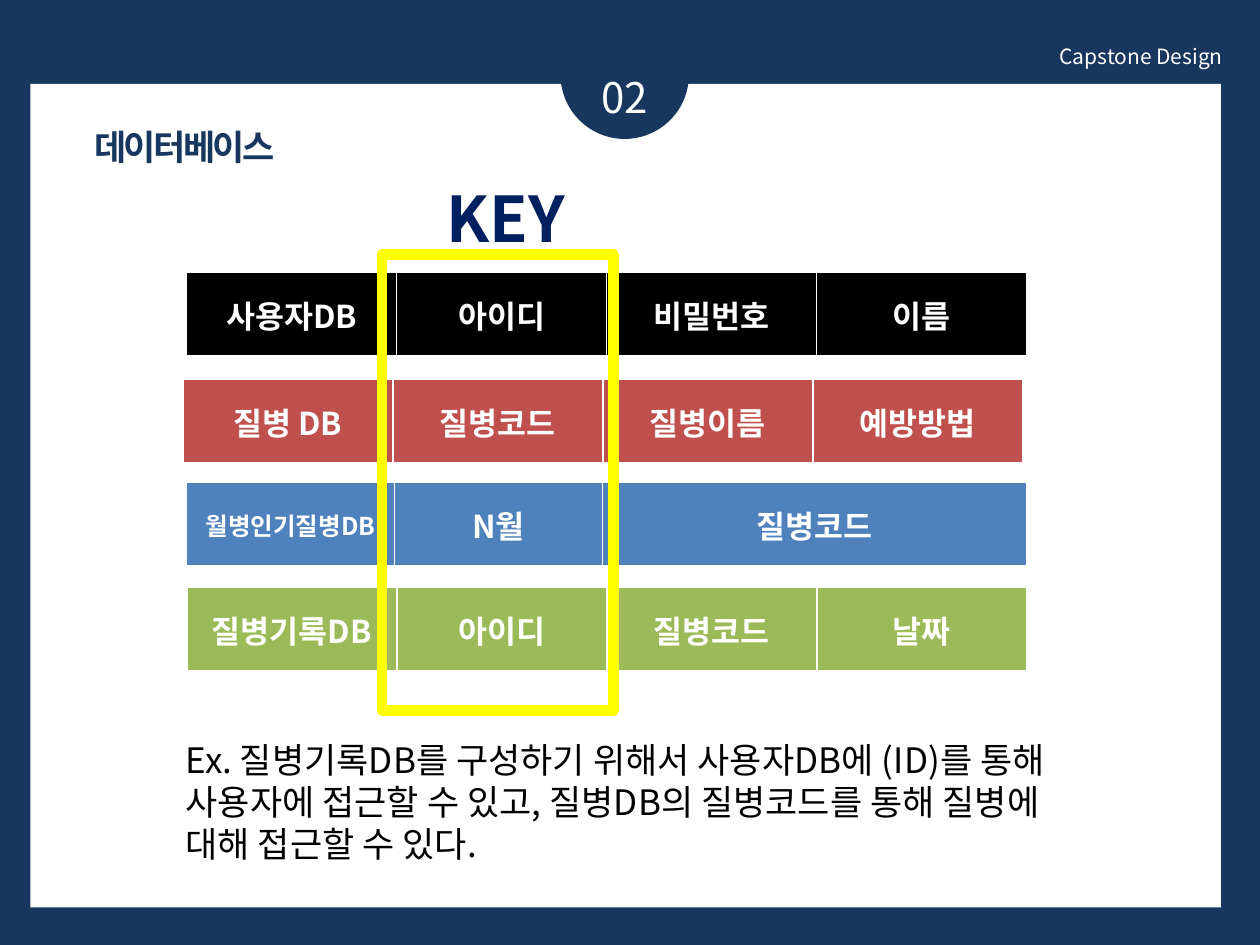
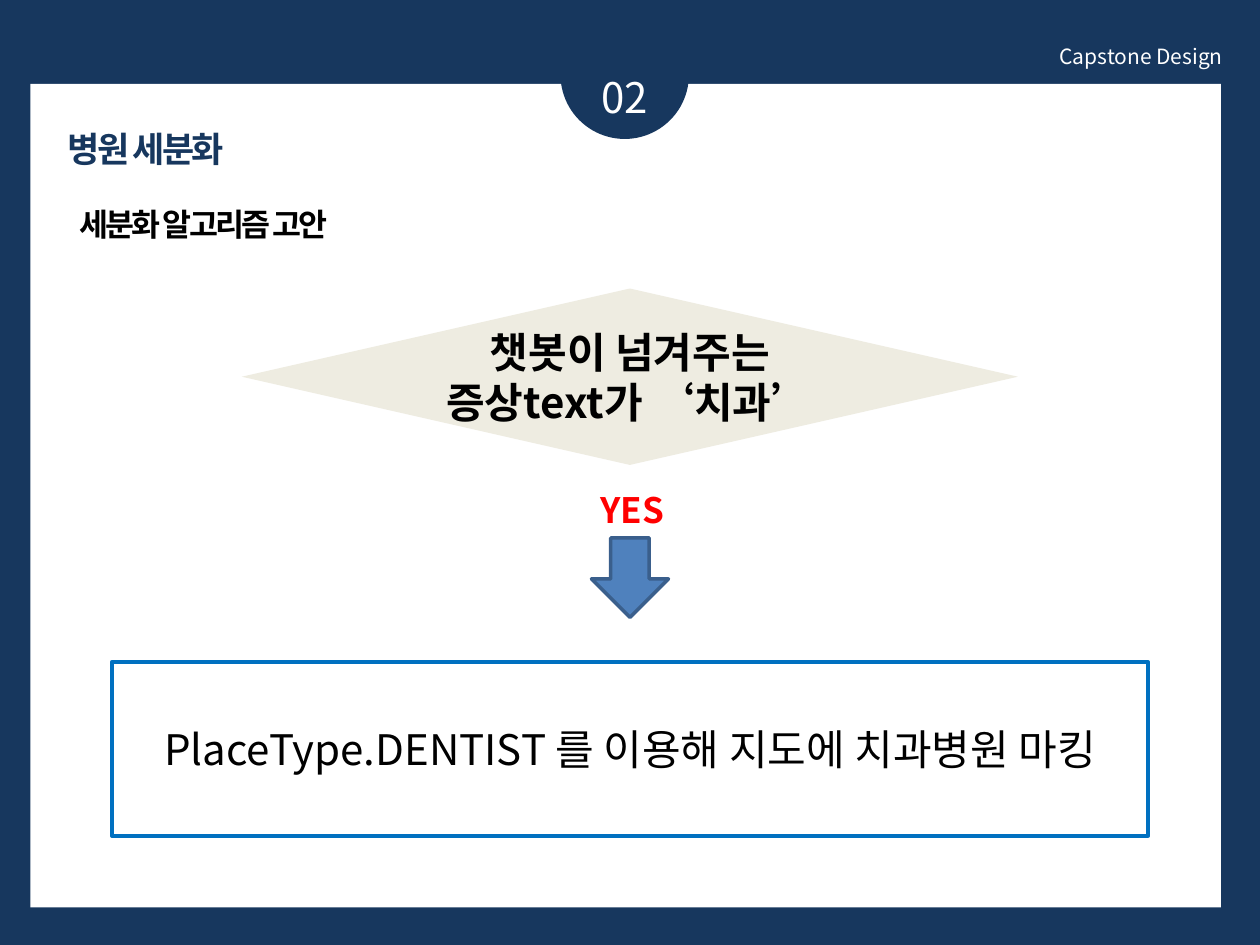
from lxml import etree
from pptx import Presentation
from pptx import util as u
from pptx.dml.color import RGBColor
from pptx.enum import shapes, text
from pptx.oxml.ns import qn

Pt = u.Pt
SHAPE = shapes.MSO_SHAPE
ALIGN = text.PP_ALIGN
MIDDLE = text.MSO_ANCHOR.MIDDLE

FONT = "Noto Sans CJK KR"
COLORS = {
    "navy": "17375E", "white": "FFFFFF", "black": "000000", "key": "002060",
    "red": "C0504D", "blue": "4F81BD", "green": "9BBB59", "yellow": "FFFF00",
    "cream": "EEECE1", "frame": "0070C0", "arrow_edge": "3A5F8C", "yes": "FF0000",
}


def rgb(name):
    return RGBColor.from_string(COLORS[name])


def write(frame, words, size=18, color="black", bold=False, align=ALIGN.LEFT,
          font=FONT, spacing=None):
    """Put one formatted paragraph into a text frame; a newline breaks the line."""
    paragraph = frame.paragraphs[0]
    paragraph.alignment = align
    for number, line in enumerate(words.split("\n")):
        if number:
            paragraph.add_line_break()
        run = paragraph.add_run()
        run.text = line
        run.font.name = font
        run.font.size = Pt(size)
        run.font.bold = bold
        run.font.color.rgb = rgb(color)
        properties = run.font._element
        etree.SubElement(properties, qn("a:ea")).set("typeface", FONT)
        if spacing is not None:
            properties.set("spc", str(round(spacing * 100)))


def border_cell(cell):
    """White borders: 1 pt on three sides, 3 pt below."""
    properties = cell._tc.get_or_add_tcPr()
    for place, (side, width) in enumerate((("L", 1), ("R", 1), ("T", 1), ("B", 3))):
        line = etree.Element(qn(f"a:ln{side}"), w=str(int(Pt(width))))
        fill = etree.SubElement(line, qn("a:solidFill"))
        etree.SubElement(fill, qn("a:srgbClr"), val=COLORS["white"])
        properties.insert(place, line)


class Deck:
    def __init__(self):
        self.presentation = Presentation()
        self.presentation.slide_width = Pt(720)
        self.presentation.slide_height = Pt(540)
        self.slide = None

    def new_slide(self):
        """Start a slide with the shared frame, section number and header."""
        self.slide = self.presentation.slides.add_slide(self.presentation.slide_layouts[6])
        background = self.slide.background.fill
        background.solid()
        background.fore_color.rgb = rgb("navy")
        self.shape(SHAPE.RECTANGLE, (17.3, 48, 680.4, 470.6), fill="white")
        self.shape(SHAPE.OVAL, (320.3, 6, 73.4, 73.4), fill="navy")
        self.label("02", (314.5, 37.6, 85, 36), size=24, color="white", align=ALIGN.CENTER)
        self.label("Capstone Design", (422.2, 21.4, 283.7, 21.8), size=12, color="white",
                   align=ALIGN.RIGHT)

    def heading(self, words, left, top, size=20, color="navy", width=232, font=FONT):
        self.label(words, (left, top, width, 31.5), size=size, color=color, bold=True,
                   spacing=-1.5, font=font)

    def shape(self, kind, box, fill=None, line=None, line_width=1):
        item = self.slide.shapes.add_shape(kind, *map(Pt, box))
        item.shadow.inherit = False
        if fill:
            item.fill.solid()
            item.fill.fore_color.rgb = rgb(fill)
        else:
            item.fill.background()
        if line:
            item.line.color.rgb = rgb(line)
            item.line.width = Pt(line_width)
        else:
            item.line.fill.background()
        return item

    def step(self, kind, box, words, bold=False, **look):
        """Flow chart step with centred text that breaks only where told."""
        frame = self.shape(kind, box, **look).text_frame
        frame.word_wrap = False
        frame.vertical_anchor = MIDDLE
        write(frame, words, size=24, bold=bold, align=ALIGN.CENTER)

    def label(self, words, box, **style):
        frame = self.slide.shapes.add_textbox(*map(Pt, box)).text_frame
        frame.word_wrap = True
        frame.auto_size = text.MSO_AUTO_SIZE.SHAPE_TO_FIT_TEXT
        write(frame, words, **style)

    def schema(self, left, top, fields, color, widths=(120,) * 4, name_size=18):
        """One-row table: database name, then its fields."""
        height = 48.4
        table = self.slide.shapes.add_table(1, len(fields), Pt(left), Pt(top),
                                            Pt(sum(widths)), Pt(height)).table
        table.first_row = table.horz_banding = False
        for column, (field, width) in enumerate(zip(fields, widths)):
            table.columns[column].width = Pt(width)
            cell = table.cell(0, column)
            cell.vertical_anchor = MIDDLE
            cell.fill.solid()
            cell.fill.fore_color.rgb = rgb(color)
            border_cell(cell)
            write(cell.text_frame, field, size=18 if column else name_size,
                  color="white", bold=True, align=ALIGN.CENTER)


def database_slide(deck):
    deck.new_slide()
    deck.heading("데이터베이스", 46.8, 67.9, font="Arial")
    deck.schema(106.6, 155.8, ("사용자DB", "아이디", "비밀번호", "이름"), "black")
    deck.schema(104.5, 217, ("질병 DB", "질병코드", "질병이름", "예방방법"), "red")
    deck.schema(106.6, 275.8, ("월병인기질병DB", "N월", "질병코드"), "blue",
                widths=(118.8, 118.8, 242.4), name_size=14)
    deck.schema(106.8, 335.8, ("질병기록DB", "아이디", "질병코드", "날짜"), "green")
    deck.shape(SHAPE.RECTANGLE, (218.2, 145.4, 132.5, 260.6), line="yellow", line_width=6)
    deck.label("KEY", (248, 99, 96.5, 51), size=36, color="key", bold=True)
    deck.label("Ex. 질병기록DB를 구성하기 위해서 사용자DB에 (ID)를 통해 사용자에 "
               "접근할 수 있고, 질병DB의 질병코드를 통해 질병에 대해 접근할 수 있다.",
               (99, 418.3, 516.2, 80), size=20)


def hospital_slide(deck):
    deck.new_slide()
    deck.heading("병원 세분화", 31.7, 69.1)
    deck.heading("세분화 알고리즘 고안", 38.2, 113.8, size=18, color="black", width=532.8)
    deck.step(SHAPE.FLOWCHART_DECISION, (138.2, 164.9, 443.5, 100.8),
              "챗봇이 넘겨주는\n증상text가 ‘치과’", bold=True, fill="cream")
    deck.step(SHAPE.FLOWCHART_PROCESS, (64, 378.2, 592, 99.4),
              "PlaceType.DENTIST 를 이용해 지도에 치과병원 마킹",
              line="frame", line_width=2.25)
    deck.shape(SHAPE.DOWN_ARROW, (338, 307.4, 44, 45.4), fill="blue",
               line="arrow_edge", line_width=2)
    deck.label("YES", (336.2, 275.8, 124.6, 24.5), size=20, color="yes", bold=True)


def main():
    deck = Deck()
    database_slide(deck)
    hospital_slide(deck)
    deck.presentation.save("out.pptx")


if __name__ == "__main__":
    main()
